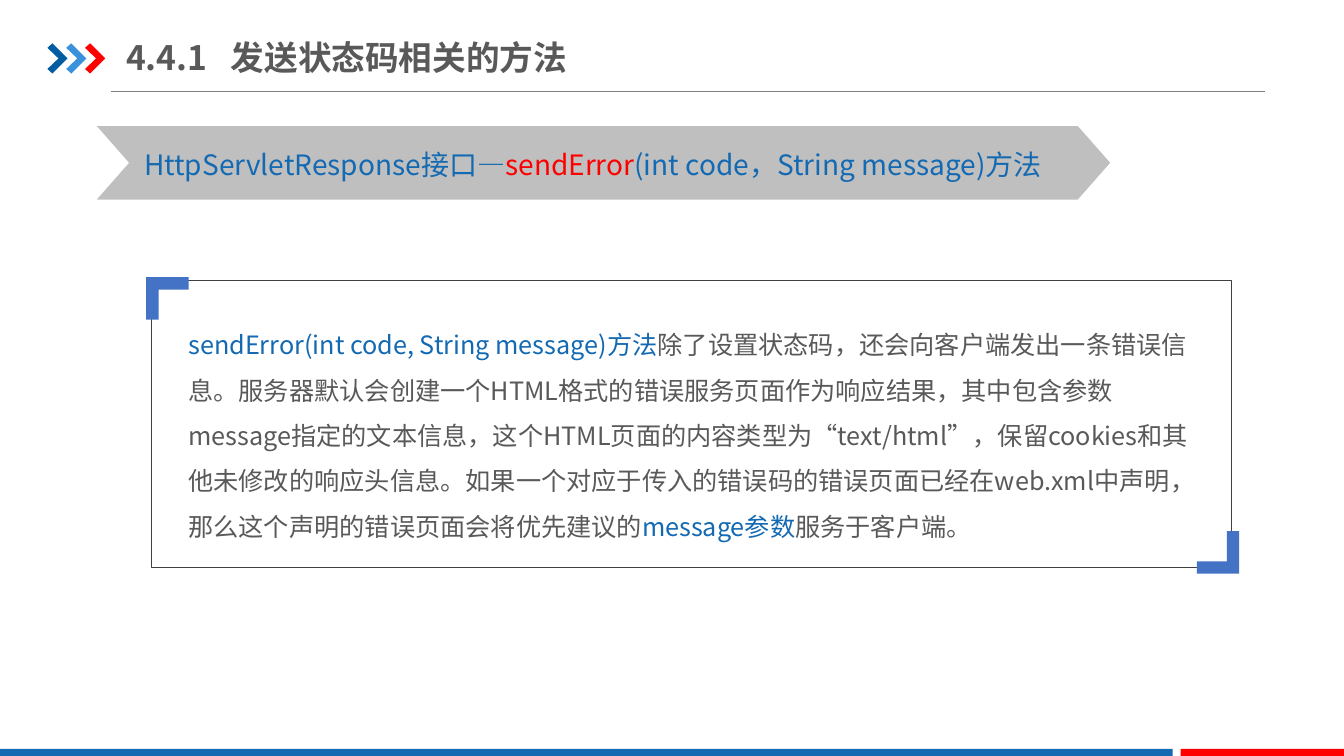
import dataclasses
import typing

import lxml.etree
import pptx
import pptx.dml.color
import pptx.enum.lang
import pptx.enum.shapes
import pptx.enum.text
import pptx.oxml.ns
import pptx.util

RGBColor = pptx.dml.color.RGBColor
WHITE = RGBColor(0xFF, 0xFF, 0xFF)
GREY_TEXT = RGBColor(0x59, 0x59, 0x59)
GREY_LINE = RGBColor(0x80, 0x80, 0x80)
GREY_BANNER = RGBColor(0xBF, 0xBF, 0xBF)
FRAME_LINE = RGBColor(0x40, 0x40, 0x40)
BLUE = RGBColor(0x13, 0x69, 0xB2)
DARK_BLUE = RGBColor(0x00, 0x5D, 0xA2)
LIGHT_BLUE = RGBColor(0x39, 0x92, 0xDB)
CORNER_BLUE = RGBColor(0x44, 0x72, 0xC4)
RED = RGBColor(0xFF, 0x00, 0x00)

FONT = "Noto Sans CJK SC"
WIDTH = pptx.util.Inches(13.33)
HEIGHT = pptx.util.Inches(7.5)
SHAPES = pptx.enum.shapes.MSO_SHAPE

# Outlines as shares of their own box
ARROW_OUTLINE = [(0, 0.15), (0.25, 0), (1, 0.5), (0.25, 1), (0, 0.85), (0.55, 0.5)]
CORNER_OUTLINE = [(0, 0), (1, 0), (1, 0.29), (0.29, 0.29), (0.29, 1), (0, 1)]


@dataclasses.dataclass
class Area:
    """A box in percent of the slide's width and height."""
    left: float
    top: float
    width: float
    height: float

    def lengths(self) -> tuple[int, int, int, int]:
        return (across(self.left), down(self.top),
                across(self.width), down(self.height))


@dataclasses.dataclass
class Span:
    text: str
    color: RGBColor


@dataclasses.dataclass
class Outline:
    area: Area
    points: list[tuple[float, float]]
    color: RGBColor
    rotation: float = 0


def across(percent: float) -> int:
    return round(WIDTH * percent / 100)


def down(percent: float) -> int:
    return round(HEIGHT * percent / 100)


def paint(shape, fill: typing.Optional[RGBColor]) -> None:
    shape.shadow.inherit = False
    shape.line.fill.background()
    if fill is None:
        shape.fill.background()
    else:
        shape.fill.solid()
        shape.fill.fore_color.rgb = fill


def add_preset(page, kind, area: Area, fill: typing.Optional[RGBColor] = None,
               adjustment: typing.Optional[float] = None):
    shape = page.shapes.add_shape(kind, *area.lengths())
    paint(shape, fill)
    if adjustment is not None:
        shape.adjustments[0] = adjustment
    return shape


def add_outline(page, outline: Outline) -> None:
    left, top, width, height = outline.area.lengths()
    points = [(round(left + x * width), round(top + y * height))
              for x, y in outline.points]
    builder = page.shapes.build_freeform(*points[0])
    builder.add_line_segments(points[1:], close=True)
    shape = builder.convert_to_shape()
    paint(shape, outline.color)
    shape.rotation = outline.rotation


def write_text(box, spans: list[Span], *, size: float, bold: bool = False,
               spacing: float = 1.0, side_inset: float = 0.1,
               anchor=pptx.enum.text.MSO_ANCHOR.TOP):
    frame = box.text_frame
    frame.word_wrap = True
    frame.auto_size = pptx.enum.text.MSO_AUTO_SIZE.NONE
    frame.vertical_anchor = anchor
    frame.margin_left = frame.margin_right = pptx.util.Inches(side_inset)
    frame.margin_top = frame.margin_bottom = pptx.util.Inches(0.05)
    para = frame.paragraphs[0]
    para.alignment = pptx.enum.text.PP_ALIGN.LEFT
    para.line_spacing = spacing
    for span in spans:
        run = para.add_run()
        run.text = span.text
        run.font.size = pptx.util.Pt(size)
        run.font.bold = bold
        run.font.color.rgb = span.color
        run.font.name = FONT
        run.font.language_id = pptx.enum.lang.MSO_LANGUAGE_ID.SIMPLIFIED_CHINESE
        east_asian = lxml.etree.SubElement(run.font._element, pptx.oxml.ns.qn("a:ea"))
        east_asian.set("typeface", FONT)
    return para


def add_text(page, area: Area, spans: list[Span], **text_format) -> None:
    write_text(page.shapes.add_textbox(*area.lengths()), spans, **text_format)


def add_tab_stop(para, position: int) -> None:
    properties = para._p.get_or_add_pPr()
    stops = lxml.etree.SubElement(properties, pptx.oxml.ns.qn("a:tabLst"))
    stop = lxml.etree.SubElement(stops, pptx.oxml.ns.qn("a:tab"))
    stop.set("pos", str(position))
    stop.set("algn", "l")


def add_header(page) -> None:
    title = page.shapes.title
    title.left, title.top, title.width, title.height = Area(9.38, 3.87, 36.68, 7.33).lengths()
    para = write_text(title, [Span("4.4.1\t发送状态码相关的方法", GREY_TEXT)],
                      size=24, bold=True, side_inset=0,
                      anchor=pptx.enum.text.MSO_ANCHOR.MIDDLE)
    add_tab_stop(para, across(7.8))

    divider = page.shapes.add_connector(
        pptx.enum.shapes.MSO_CONNECTOR.STRAIGHT,
        across(8.25), down(12.13), across(94.15), down(12.13))
    divider.line.color.rgb = GREY_LINE
    divider.line.width = pptx.util.Pt(0.5)
    lxml.etree.SubElement(divider._element.spPr, pptx.oxml.ns.qn("a:effectLst"))

    for index, color in enumerate([DARK_BLUE, LIGHT_BLUE, RED]):
        area = Area(3.53 + 1.4 * index, 5.73, 1.5, 4)
        add_outline(page, Outline(area, ARROW_OUTLINE, color))


def add_footer(page) -> None:
    for left, width, color in [(0, 87.25, BLUE), (87.85, 12.15, RED)]:
        add_preset(page, SHAPES.RECTANGLE, Area(left, 99.07, width, 0.93), color)


def add_banner(page) -> None:
    add_preset(page, SHAPES.CHEVRON, Area(7.2, 16.67, 75.4, 9.73), GREY_BANNER, 0.44)
    add_text(page, Area(9.98, 18.8, 80.57, 5.87), [
        Span("HttpServletResponse接口—", BLUE),
        Span("sendError", RED),
        Span("(int code，String message)方法", BLUE),
    ], size=20)


def add_explanation(page) -> None:
    add_text(page, Area(13.28, 40.93, 77.27, 31.6), [
        Span("sendError(int code, String message)方法", BLUE),
        Span("除了设置状态码，还会向客户端发出一条错误信息。"
             "服务器默认会创建一个HTML格式的错误服务页面作为响应结果，"
             "其中包含参数message指定的文本信息，"
             "这个HTML页面的内容类型为“text/html”，"
             "保留cookies和其他未修改的响应头信息。"
             "如果一个对应于传入的错误码的错误页面已经在web.xml中声明，"
             "那么这个声明的错误页面会将优先建议的", GREY_TEXT),
        Span("message参数", BLUE),
        Span("服务于客户端。", GREY_TEXT),
    ], size=18, spacing=1.5)

    border = add_preset(page, SHAPES.ROUNDED_RECTANGLE,
                        Area(11.25, 37.07, 80.35, 38), adjustment=0)
    border.line.color.rgb = FRAME_LINE
    border.line.width = pptx.util.Pt(0.25)

    # Opposite corners of the border
    for left, top, rotation in [(10.88, 36.67, 0), (89.05, 70.27, 180)]:
        area = Area(left, top, 3.15, 5.6)
        add_outline(page, Outline(area, CORNER_OUTLINE, CORNER_BLUE, rotation))


def main() -> None:
    deck = pptx.Presentation()
    deck.slide_width, deck.slide_height = WIDTH, HEIGHT
    page = deck.slides.add_slide(deck.slide_layouts.get_by_name("Title Only"))
    page.background.fill.solid()
    page.background.fill.fore_color.rgb = WHITE
    add_header(page)
    add_footer(page)
    add_banner(page)
    add_explanation(page)
    deck.save("out.pptx")


if __name__ == "__main__":
    main()
